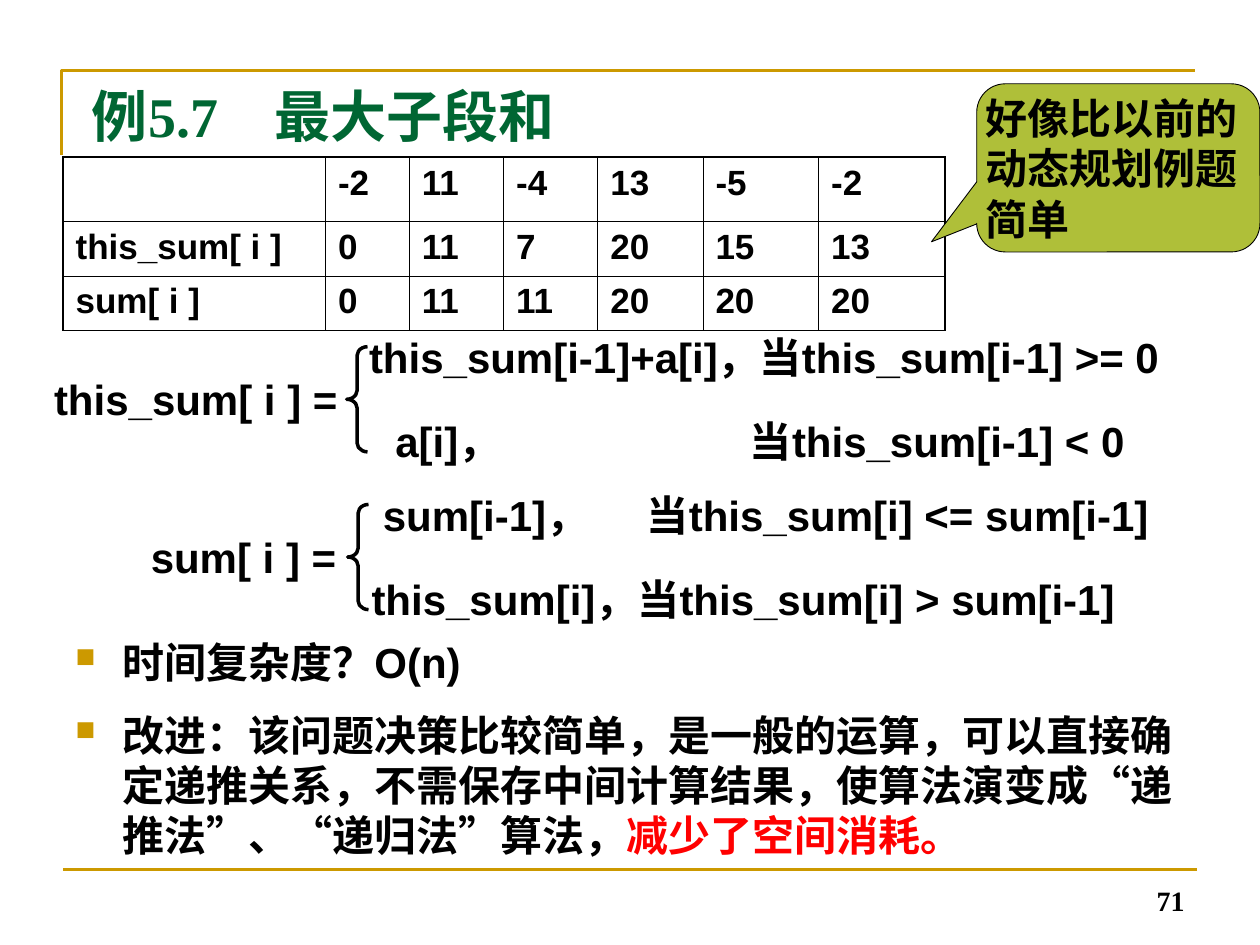
from lxml import etree
from pptx import Presentation
from pptx.dml.color import RGBColor
from pptx.enum.shapes import MSO_CONNECTOR, MSO_SHAPE
from pptx.enum.text import MSO_ANCHOR, PP_ALIGN
from pptx.oxml.ns import qn
from pptx.util import Cm, Pt

STRAIGHT = MSO_CONNECTOR.STRAIGHT
BRACE, CALLOUT = MSO_SHAPE.LEFT_BRACE, MSO_SHAPE.ROUNDED_RECTANGULAR_CALLOUT
TOP, MIDDLE, BOTTOM = MSO_ANCHOR.TOP, MSO_ANCHOR.MIDDLE, MSO_ANCHOR.BOTTOM
LEFT, RIGHT = PP_ALIGN.LEFT, PP_ALIGN.RIGHT

BLACK, GOLD, GREEN, LIME, RED = "000000", "CC9900", "006633", "AFBF39", "FF0000"
SANS, SERIF = "Arial", "Times New Roman"
THIN, THICK = 0.45, 1.08

TITLE = "例5.7\t最大子段和"
NOTE = "好像比以前的动态规划例题简单"
NUMBER = "71"
ROWS = [
    ["", "-2", "11", "-4", "13", "-5", "-2"],
    ["this_sum[ i ]", "0", "11", "7", "20", "15", "13"],
    ["sum[ i ]", "0", "11", "11", "20", "20", "20"],
]
WIDTHS = [5.29, 1.69, 1.9, 1.9, 2.12, 2.33, 2.55]
HEIGHTS = [1.29, 1.1, 1.1]

# Each formula: top, brace left, (text, left, width), then the two cases
# as (text, left, width, tab stop).
FORMULAS = [
    (6.56, 6.99, ("this_sum[ i ] =", 0.84, 6.22), [
        ("this_sum[i-1]+a[i]，当this_sum[i-1] >= 0", 7.19, 16.85, None),
        ("a[i]，\t当this_sum[i-1] < 0", 7.72, 15.6, 7.15),
    ]),
    (9.74, 7.01, ("sum[ i ] =", 2.79, 4.24), [
        ("sum[i-1]，\t当this_sum[i] <= sum[i-1]", 7.47, 16.3, 5.32),
        ("this_sum[i]，当this_sum[i] > sum[i-1]", 7.24, 16.1, None),
    ]),
]
POINTS = [
    (12.7, 1.27, [("时间复杂度？O(n)", BLACK)]),
    (14.17, 3.3, [
        ("改进：该问题决策比较简单，是一般的运算，可以直接确定递推关系，"
         "不需保存中间计算结果，使算法演变成“递推法”、“递归法”算法，", BLACK),
        ("减少了空间消耗。", RED),
    ]),
]


def rgb(code):
    return RGBColor.from_string(code)


def style(run, size=24, font=SANS, color=BLACK):
    run.font.size, run.font.name, run.font.bold = Pt(size), font, True
    run.font.color.rgb = rgb(color)


def fill_text(frame, text, anchor=TOP, align=LEFT, **look):
    frame.word_wrap = True
    frame.vertical_anchor = anchor
    frame.text = text
    para = frame.paragraphs[0]
    para.alignment = align
    for run in para.runs:
        style(run, **look)
    return para


def add_text(shapes, text, left, top, width, height, **look):
    box = shapes.add_textbox(Cm(left), Cm(top), Cm(width), Cm(height))
    return fill_text(box.text_frame, text, **look)


def add_tab(para, stop):
    tabs = etree.SubElement(para._p.get_or_add_pPr(), qn("a:tabLst"))
    etree.SubElement(tabs, qn("a:tab"), pos=str(Cm(stop)), algn="l")


def add_bullet(para):
    props = para._p.get_or_add_pPr()
    props.set("marL", str(Cm(0.95)))
    props.set("indent", str(Cm(-0.95)))
    color = etree.SubElement(props, qn("a:buClr"))
    etree.SubElement(color, qn("a:srgbClr"), val=GOLD)
    etree.SubElement(props, qn("a:buSzPct"), val="65000")
    etree.SubElement(props, qn("a:buChar"), char="■")


def set_line(shape, color, width):
    shape.line.color.rgb = rgb(color)
    shape.line.width = Pt(width)


def add_frame(shapes):
    path = shapes.build_freeform(Cm(1.24), Cm(3.12))
    path.add_line_segments([(Cm(1.24), Cm(1.42)), (Cm(24.1), Cm(1.42))], close=False)
    edge = path.convert_to_shape()
    edge.fill.background()
    edge.shadow.inherit = False
    set_line(edge, GOLD, 1.5)
    rule = shapes.add_connector(STRAIGHT, Cm(1.27), Cm(17.53), Cm(24.13), Cm(17.53))
    set_line(rule, GOLD, 1.5)
    etree.SubElement(rule._element.spPr, qn("a:effectLst"))


def set_borders(cell, widths):
    props = cell._tc.get_or_add_tcPr()
    for at, (side, width) in enumerate(widths.items()):
        line = etree.Element(qn("a:" + side), w=str(Pt(width)))
        fill = etree.SubElement(line, qn("a:solidFill"))
        etree.SubElement(fill, qn("a:srgbClr"), val=BLACK)
        props.insert(at, line)


def add_sums(shapes):
    count, span = len(ROWS), len(WIDTHS)
    table = shapes.add_table(count, span, Cm(1.27), Cm(3.17),
                             Cm(sum(WIDTHS)), Cm(sum(HEIGHTS))).table
    table.first_row = table.horz_banding = False
    for col, width in zip(table.columns, WIDTHS):
        col.width = Cm(width)
    for r, (row, height) in enumerate(zip(ROWS, HEIGHTS)):
        table.rows[r].height = Cm(height)
        for c, text in enumerate(row):
            cell = table.cell(r, c)
            cell.fill.background()
            if text:
                fill_text(cell.text_frame, text, size=20)
            outer = {"lnL": c == 0, "lnR": c == span - 1,
                     "lnT": r == 0, "lnB": r == count - 1}
            set_borders(cell, {k: THICK if v else THIN for k, v in outer.items()})


def add_formula(shapes, top, left, name, cases):
    group = shapes.add_group_shape().shapes
    text, start, width = name
    add_text(group, text, start, top + 0.84, width + 0.2, 1.27)
    for i, (text, start, width, stop) in enumerate(cases):
        para = add_text(group, text, start, top + 1.7 * i, width + 0.2, 1.27)
        if stop:
            add_tab(para, stop)
    brace = group.add_shape(BRACE, Cm(left), Cm(top + 0.43), Cm(0.42), Cm(2.12))
    brace.adjustments[0] = 0.42
    brace.fill.background()
    brace.shadow.inherit = False
    set_line(brace, BLACK, 2)


def add_note(shapes):
    note = shapes.add_shape(CALLOUT, Cm(19.69), Cm(1.69), Cm(5.71), Cm(3.39))
    for i, value in enumerate((-0.66, 0.44, 0.17)):
        note.adjustments[i] = value
    note.fill.solid()
    note.fill.fore_color.rgb = rgb(LIME)
    note.shadow.inherit = False
    set_line(note, BLACK, 0.5)
    frame = note.text_frame
    frame.margin_left = frame.margin_right = 0
    frame.margin_top = frame.margin_bottom = Cm(0.1)
    fill_text(frame, NOTE, anchor=MIDDLE, font=SERIF)


def main():
    deck = Presentation()
    deck.slide_width, deck.slide_height = Cm(25.4), Cm(19.05)
    slide = deck.slides.add_slide(deck.slide_layouts[5])
    shapes = slide.shapes
    add_frame(shapes)

    title = shapes.title
    title.left, title.top, title.width, title.height = Cm(1.6), Cm(1.52), Cm(22.86), Cm(3.17)
    add_tab(fill_text(title.text_frame, TITLE, size=32, font=SERIF, color=GREEN), 3.68)

    add_text(shapes, NUMBER, 18.21, 17.35, 5.92, 1.27,
             anchor=BOTTOM, align=RIGHT, size=16, font=SERIF)
    add_sums(shapes)
    for formula in FORMULAS:
        add_formula(shapes, *formula)
    for top, height, parts in POINTS:
        para = add_text(shapes, "", 1.27, top, 22.86, height)
        add_bullet(para)
        for text, color in parts:
            run = para.add_run()
            run.text = text
            style(run, color=color)
    add_note(shapes)
    deck.save("out.pptx")


if __name__ == "__main__":
    main()
